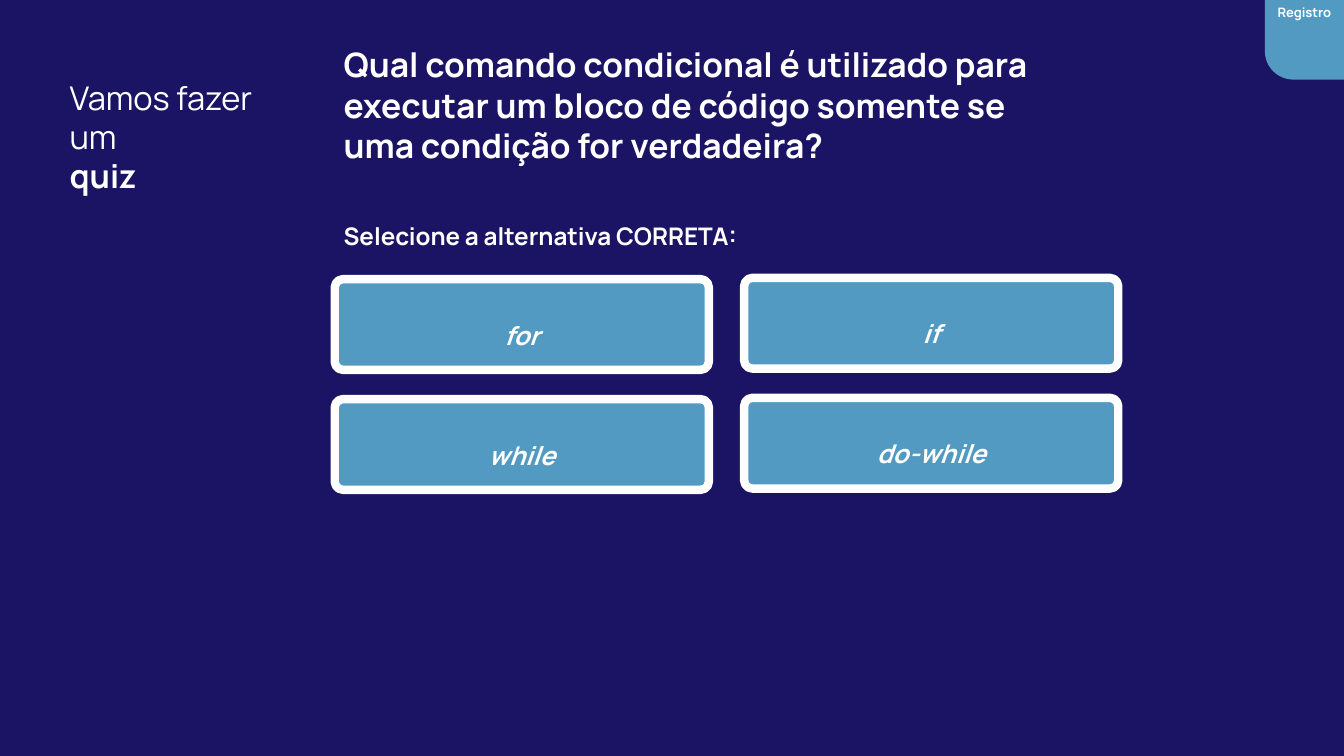
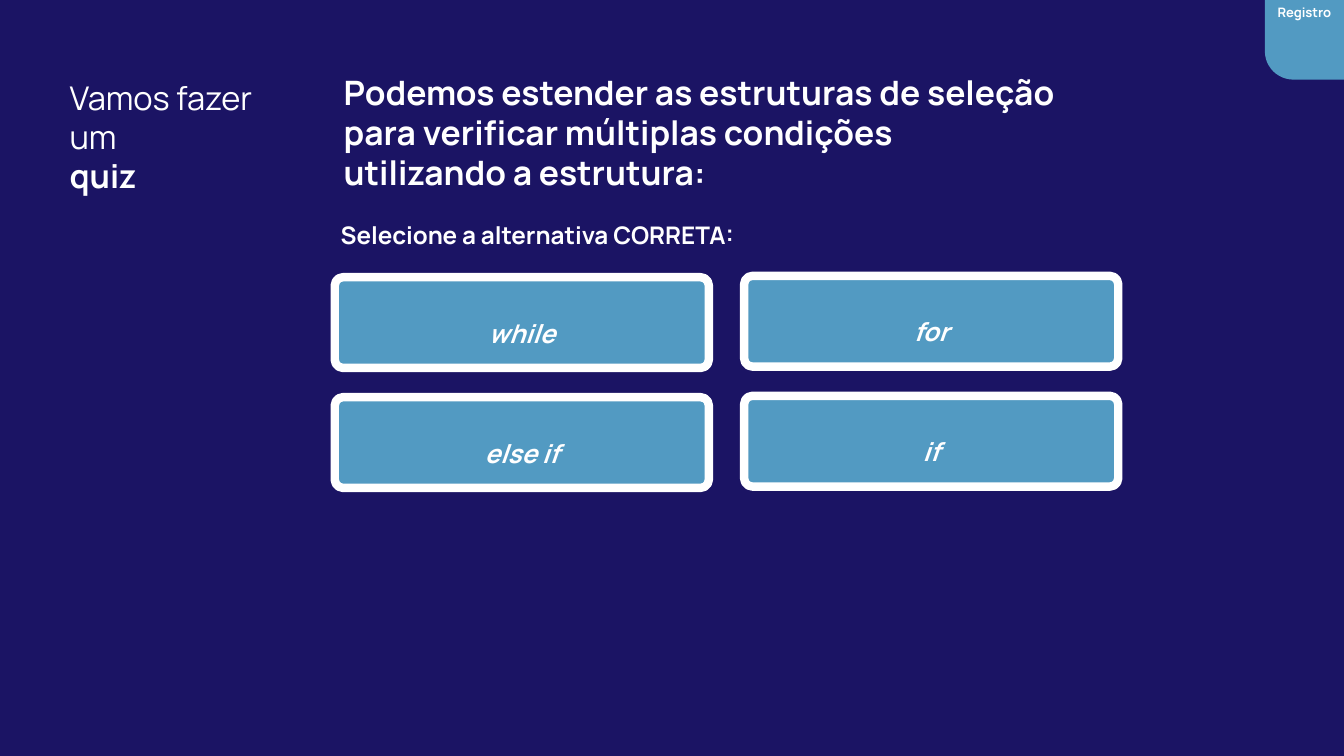
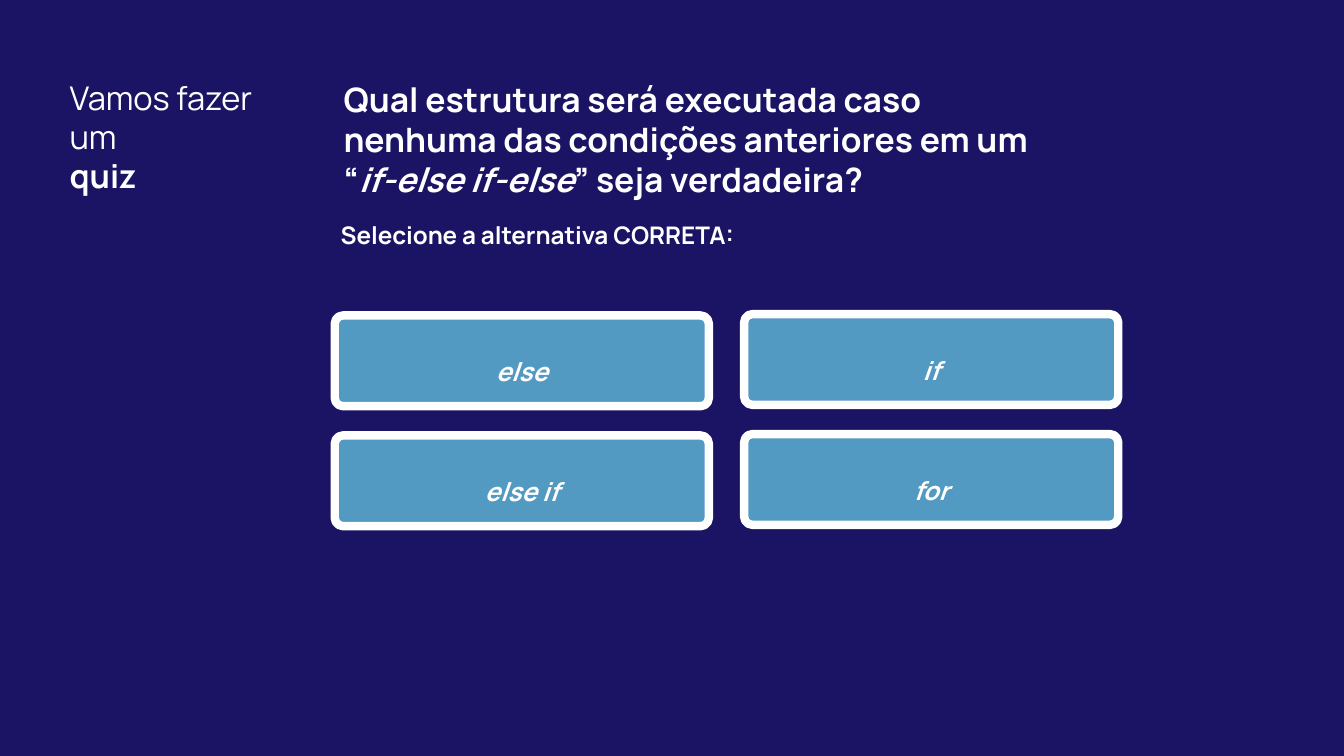
import pptx
import pptx.util
import pptx.dml.color
import pptx.enum.shapes
import pptx.enum.text

WIDTH, HEIGHT = 13.33, 7.5
COLUMN, ROW = WIDTH / 100, HEIGHT / 100
FONT = "Manrope"
COLORS = {"background": "1B1464", "accent": "529AC2", "text": "FFFFFF"}
HEADING_BOX = (5.18, 10.27, 14.1, 15.73)
TAB_BOX = (94.11, 0, 5.89, 10.53)
CARD_GAP = (2.63, 3.87)
CARD_STAGGER = 0.17
INSTRUCTION = "Selecione a alternativa CORRETA:"
WIDE_INSETS = (7.2, 3.6)
NARROW_INSETS = (5, 2.5)

QUIZZES = [
    {
        "question": [("Qual comando condicional é utilizado para executar um bloco de "
                      "código somente se uma condição for verdadeira?", False)],
        "question_box": (24.83, 5.2, 53.56, 28.13),
        "instruction_box": (24.83, 28.67, 61.74, 8),
        "instruction_insets": WIDE_INSETS,
        "answers": ["for", "if", "while", "do-while"],
        "answers_box": (24.91, 36.93, 58.29, 27.87),
        "tab": "Registro",
    },
    {
        "question": [("Podemos estender as estruturas de seleção para verificar "
                      "múltiplas condições utilizando a estrutura:", False)],
        "question_box": (24.83, 8.8, 54.69, 16),
        "instruction_box": (24.83, 28.67, 52.06, 8),
        "instruction_insets": NARROW_INSETS,
        "answers": ["while", "for", "else if", "if"],
        "answers_box": (24.91, 36.67, 58.29, 27.87),
        "tab": "Registro",
    },
    {
        "question": [("Qual estrutura será executada caso nenhuma das condições "
                      "anteriores em um “", False),
                     ("if-else if-else", True),
                     ("” seja verdadeira?", False)],
        "question_box": (24.83, 9.73, 54.69, 16),
        "instruction_box": (24.83, 28.67, 52.06, 8),
        "instruction_insets": NARROW_INSETS,
        "answers": ["else", "if", "else if", "for"],
        "answers_box": (24.91, 41.73, 58.29, 27.87),
        "tab": None,
    },
]


def color(name):
    return pptx.dml.color.RGBColor.from_string(COLORS[name])


def place(box):
    left, top, width, height = box
    return [pptx.util.Inches(length) for length in
            (left * COLUMN, top * ROW, width * COLUMN, height * ROW)]


def prepare_frame(shape, insets):
    frame = shape.text_frame
    frame.word_wrap = True
    frame.vertical_anchor = pptx.enum.text.MSO_ANCHOR.TOP
    side, edge = (pptx.util.Pt(inset) for inset in insets)
    frame.margin_left = frame.margin_right = side
    frame.margin_top = frame.margin_bottom = edge
    return frame


def add_run(paragraph, text, size, bold=True, italic=False):
    run = paragraph.add_run()
    run.text = text
    run.font.name = FONT
    run.font.size = pptx.util.Pt(size)
    run.font.bold = bold
    run.font.italic = italic
    run.font.color.rgb = color("text")


def add_text(slide, box, insets=(0, 0)):
    return prepare_frame(slide.shapes.add_textbox(*place(box)), insets)


def add_filled_shape(slide, kind, box, corner):
    shape = slide.shapes.add_shape(kind, *place(box))
    shape.adjustments[0] = corner
    shape.shadow.inherit = False
    shape.fill.solid()
    shape.fill.fore_color.rgb = color("accent")
    shape.line.fill.background()
    return shape


def add_heading(slide, box):
    frame = add_text(slide, box)
    add_run(frame.paragraphs[0], "Vamos fazer um", 23.3, bold=False)
    add_run(frame.add_paragraph(), "quiz", 23.3)


def add_question(slide, box, pieces):
    paragraph = add_text(slide, box, WIDE_INSETS).paragraphs[0]
    for text, italic in pieces:
        add_run(paragraph, text, 24, italic=italic)


def add_instruction(slide, box, insets):
    add_run(add_text(slide, box, insets).paragraphs[0], INSTRUCTION, 17.3)


def add_card(slide, box, answer):
    card = add_filled_shape(
        slide, pptx.enum.shapes.MSO_SHAPE.ROUNDED_RECTANGLE, box, 0.09)
    card.line.color.rgb = color("text")
    card.line.width = pptx.util.Pt(6)
    frame = prepare_frame(card, (22, 16))
    frame.margin_bottom = 0
    paragraph = frame.paragraphs[0]
    paragraph.alignment = pptx.enum.text.PP_ALIGN.CENTER
    paragraph.line_spacing = 1.5
    add_run(paragraph, answer, 18.4, italic=True)


def add_answers(slide, box, answers):
    left, top, width, height = box
    column_gap, row_gap = CARD_GAP
    card_width = (width - column_gap) / 2
    card_height = (height - row_gap) / 2
    for index, answer in enumerate(answers):
        row, column = divmod(index, 2)
        card_left = left + column * (card_width + column_gap)
        card_top = top + row * (card_height + row_gap) - column * CARD_STAGGER
        add_card(slide, (card_left, card_top, card_width, card_height), answer)


def add_tab(slide, box, label):
    left, top, width, height = box
    tab = add_filled_shape(
        slide, pptx.enum.shapes.MSO_SHAPE.ROUND_1_RECTANGLE, box, 0.36)
    tab.rotation = 180
    frame = add_text(slide, (left, top, width, height * 0.28), NARROW_INSETS)
    paragraph = frame.paragraphs[0]
    paragraph.alignment = pptx.enum.text.PP_ALIGN.CENTER
    paragraph.line_spacing = 1.07
    add_run(paragraph, label, 9.3)


def add_quiz_slide(presentation, quiz):
    slide = presentation.slides.add_slide(presentation.slide_layouts[6])
    add_heading(slide, HEADING_BOX)
    add_question(slide, quiz["question_box"], quiz["question"])
    add_instruction(slide, quiz["instruction_box"], quiz["instruction_insets"])
    add_answers(slide, quiz["answers_box"], quiz["answers"])
    if quiz["tab"]:
        add_tab(slide, TAB_BOX, quiz["tab"])


def main():
    presentation = pptx.Presentation()
    presentation.slide_width = pptx.util.Inches(WIDTH)
    presentation.slide_height = pptx.util.Inches(HEIGHT)
    background = presentation.slide_master.background.fill
    background.solid()
    background.fore_color.rgb = color("background")
    for quiz in QUIZZES:
        add_quiz_slide(presentation, quiz)
    presentation.save("out.pptx")


if __name__ == "__main__":
    main()
